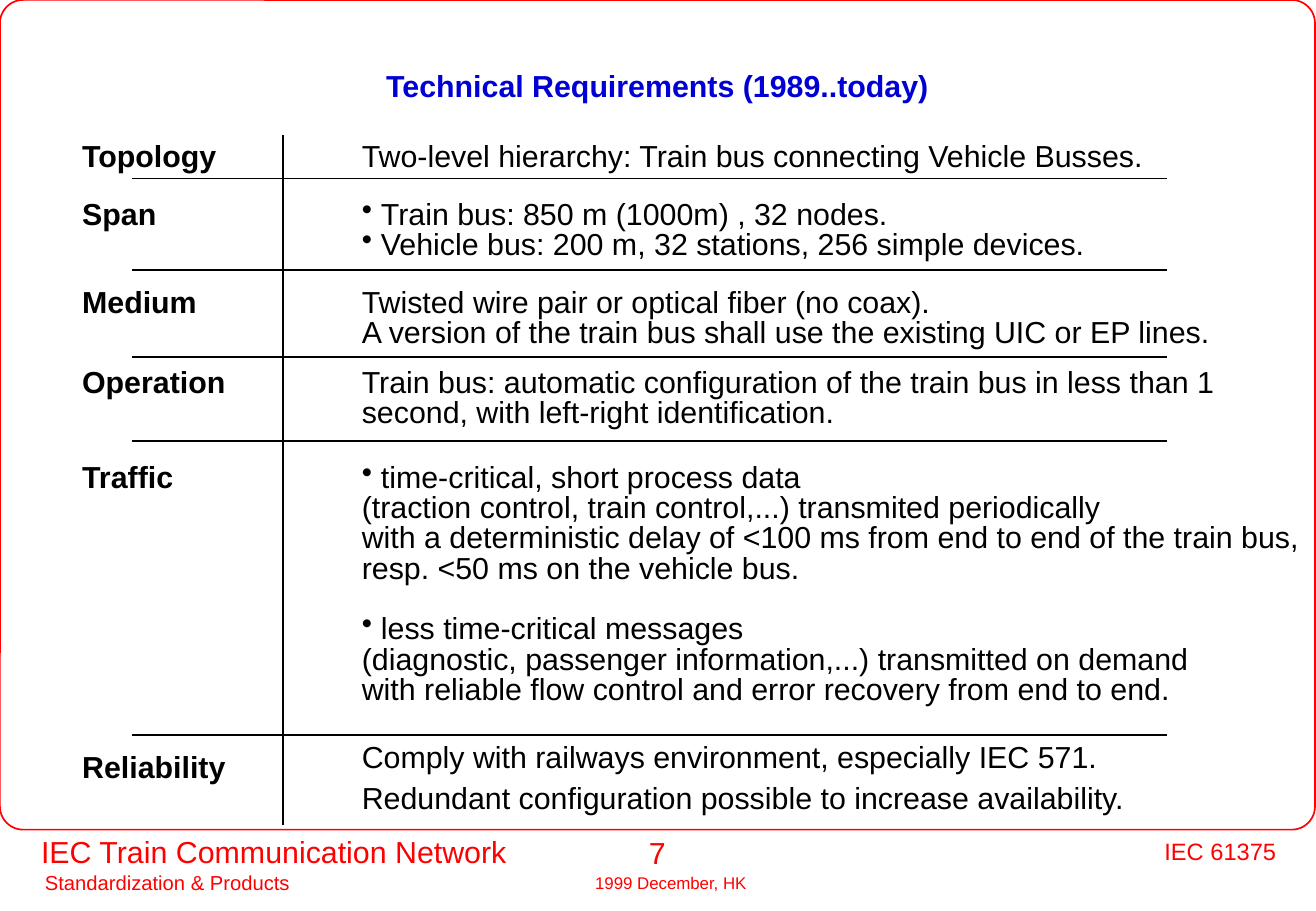
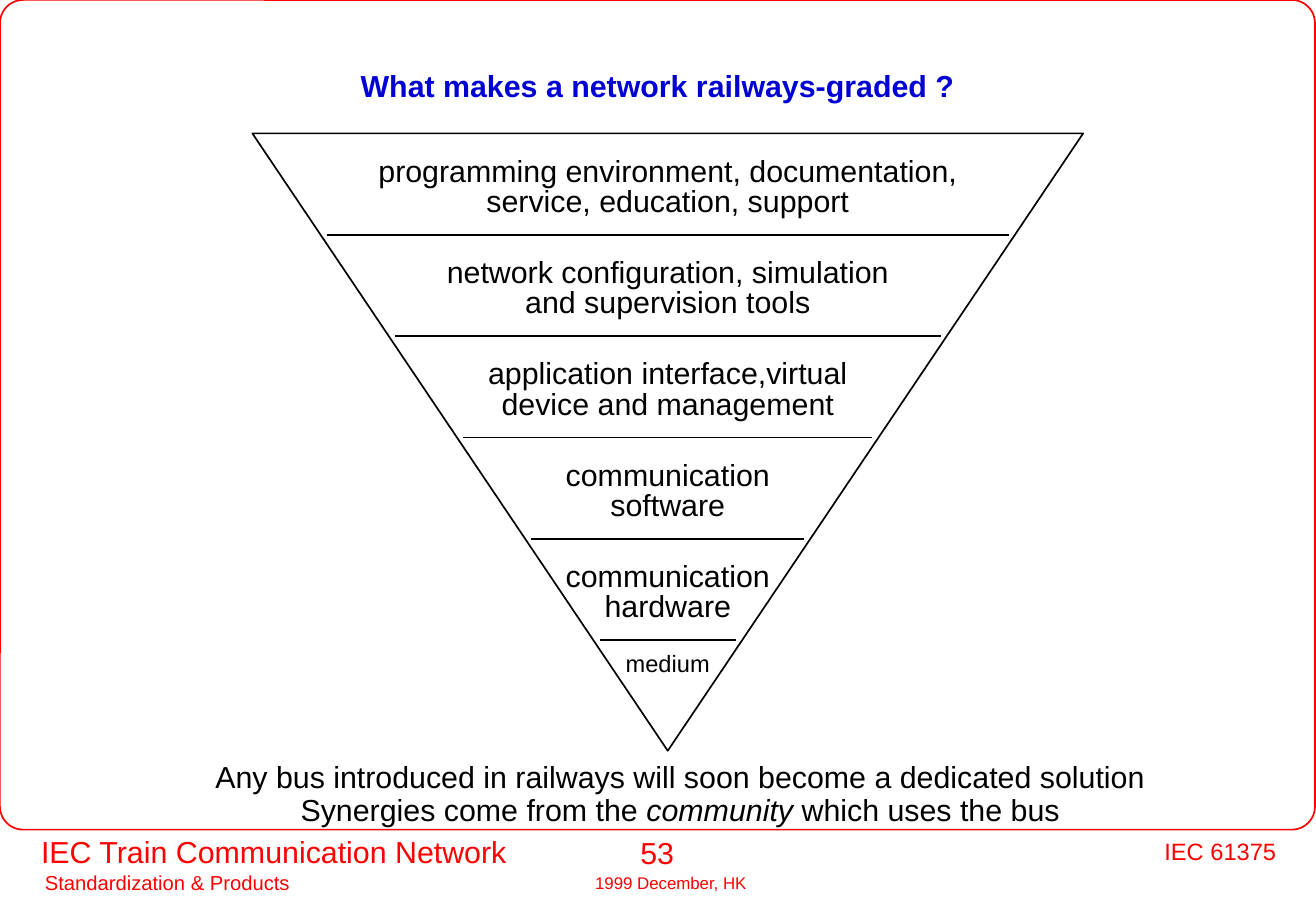
"""Build two slides on the requirements for a railway communication network."""
import dataclasses

import lxml.etree
import pptx
import pptx.dml.color
import pptx.enum.shapes
import pptx.enum.text
import pptx.oxml.ns
import pptx.util

Cm, Pt = pptx.util.Cm, pptx.util.Pt
RGB = pptx.dml.color.RGBColor
ALIGN = pptx.enum.text.PP_ALIGN
ANCHOR = pptx.enum.text.MSO_ANCHOR
SHAPES = pptx.enum.shapes.MSO_SHAPE
STRAIGHT = pptx.enum.shapes.MSO_CONNECTOR.STRAIGHT
qn = pptx.oxml.ns.qn


@dataclasses.dataclass(frozen=True)
class Theme:
    """Colours, font and sizes."""
    font: str = "Arial"
    ink: RGB = RGB(0, 0, 0)
    accent: RGB = RGB(0xFF, 0, 0)
    heading: RGB = RGB(0, 0, 0xD4)
    body: int = 18
    medium: int = 14
    small: int = 12
    tiny: int = 10
    rule: float = 1
    inset_x: float = 0.25
    inset_y: float = 0.13


@dataclasses.dataclass(frozen=True)
class Para:
    """A paragraph, its bullet, the space before it and its stressed word."""
    text: str
    bullet: bool = False
    gap: int = 0
    stress: str = ""


THEME = Theme()
SLIDE_W, SLIDE_H = 27.53, 19.05
BULLET_INDENT = 0.4

FOOTERS = [
    ("IEC Train Communication Network", THEME.body, 0.61, 17.3, 11, ALIGN.LEFT),
    ("Standardization & Products", THEME.small, 0.69, 18.06, 6.5, ALIGN.LEFT),
    ("1999 December, HK", THEME.tiny, 12.2, 18.11, 4.5, ALIGN.LEFT),
    ("IEC 61375", THEME.medium, 22.95, 17.37, 4, ALIGN.RIGHT),
]

REQUIREMENTS_TITLE = "Technical Requirements (1989..today)"
REQUIREMENTS = [
    ("Topology", 2.87, 2.87, [
        Para("Two-level hierarchy: Train bus connecting Vehicle Busses.")]),
    ("Span", 4.08, 4.08, [
        Para("Train bus: 850 m (1000m) , 32 nodes.", bullet=True),
        Para("Vehicle bus: 200 m, 32 stations, 256 simple devices.", bullet=True)]),
    ("Medium", 5.91, 5.91, [
        Para("Twisted wire pair or optical fiber (no coax)."),
        Para("A version of the train bus shall use the existing UIC or EP lines.")]),
    ("Operation", 7.59, 7.59, [
        Para("Train bus: automatic configuration of the train bus in less than 1\n"
             "second, with left-right identification.")]),
    ("Traffic", 9.57, 9.57, [
        Para("time-critical, short process data", bullet=True),
        Para("(traction control, train control,...) transmited periodically\n"
             "with a deterministic delay of <100 ms from end to end of the train bus,\n"
             "resp. <50 ms on the vehicle bus."),
        Para("less time-critical messages", bullet=True, gap=18),
        Para("(diagnostic, passenger information,...) transmitted on demand\n"
             "with reliable flow control and error recovery from end to end.")]),
    ("Reliability", 15.64, 15.44, [
        Para("Comply with railways environment, especially IEC 571."),
        Para("Redundant configuration possible to increase availability.", gap=6)]),
]
ROW_RULES = [3.73, 5.64, 7.47, 9.22, 15.37]

LAYERS_TITLE = "What makes a network railways-graded ?"
LAYERS = [
    "programming environment, documentation,\nservice, education, support",
    "network configuration, simulation\nand supervision tools",
    "application interface,virtual\ndevice and management",
    "communication\nsoftware",
    "communication\nhardware",
]
TIP = "medium"
CONCLUSION = [
    Para("Any bus introduced in railways will soon become a dedicated solution"),
    Para("Synergies come from the community which uses the bus", stress="community"),
]


def add_run(paragraph, text, size, color, bold=False, italic=False):
    run = paragraph.add_run()
    run.text = text
    font = run.font
    font.name, font.size = THEME.font, Pt(size)
    font.bold, font.italic = bold, italic
    font.color.rgb = color


def add_bullet(paragraph):
    properties = paragraph._p.get_or_add_pPr()
    properties.set("marL", str(Cm(BULLET_INDENT)))
    properties.set("indent", str(-Cm(BULLET_INDENT)))
    lxml.etree.SubElement(properties, qn("a:buChar")).set("char", "•")


def set_insets(frame):
    frame.word_wrap = True
    frame.margin_left, frame.margin_right = Cm(THEME.inset_x), 0
    frame.margin_top = frame.margin_bottom = Cm(THEME.inset_y)


def add_text(slide, paras, left, top, width, size=THEME.body, color=THEME.ink,
             align=ALIGN.LEFT, bold=False, leading=None):
    pitch = leading or size * 1.15
    height = sum(pitch * (1 + p.text.count("\n")) + p.gap for p in paras)
    box = slide.shapes.add_textbox(Cm(left), Cm(top), Cm(width),
                                   Pt(height) + Cm(2 * THEME.inset_y))
    frame = box.text_frame
    set_insets(frame)
    if align != ALIGN.LEFT:
        frame.margin_right = frame.margin_left
    for index, para in enumerate(paras):
        paragraph = frame.paragraphs[0] if index == 0 else frame.add_paragraph()
        if para.bullet:
            add_bullet(paragraph)
        paragraph.alignment = align
        paragraph.space_before = Pt(para.gap)
        if leading:
            paragraph.line_spacing = Pt(leading)
        for number, line in enumerate(para.text.split("\n")):
            if number:
                paragraph.add_line_break()
            pieces = line.partition(para.stress) if para.stress else (line,)
            for piece in filter(None, pieces):
                add_run(paragraph, piece, size, color, bold, piece == para.stress)


def add_rule(slide, x1, y1, x2, y2):
    rule = slide.shapes.add_connector(STRAIGHT, Cm(x1), Cm(y1), Cm(x2), Cm(y2))
    rule.line.color.rgb = THEME.ink
    rule.line.width = Pt(THEME.rule)
    lxml.etree.SubElement(rule._element.spPr, qn("a:effectLst"))


def add_outline(slide, preset, left, top, width, height, color):
    outline = slide.shapes.add_shape(preset, Cm(left), Cm(top), Cm(width), Cm(height))
    outline.shadow.inherit = False
    outline.fill.background()
    outline.line.color.rgb = color
    outline.line.width = Pt(THEME.rule)
    return outline


def add_slide(deck, title, number):
    slide = deck.slides.add_slide(deck.slide_layouts[5])
    frame = add_outline(slide, SHAPES.ROUNDED_RECTANGLE, 0, 0, 27.51, 17.35, THEME.accent)
    frame.adjustments[0] = 0.028
    page = (str(number), THEME.body, 12.9, 17.32, 1.7, ALIGN.CENTER)
    for text, size, left, top, width, align in FOOTERS + [page]:
        add_text(slide, [Para(text)], left, top, width, size, THEME.accent, align)
    heading = slide.shapes.title
    heading.left, heading.top = Cm(0.46), Cm(1.12)
    heading.width, heading.height = Cm(26.59), Cm(1.42)
    set_insets(heading.text_frame)
    heading.text_frame.margin_right = Cm(THEME.inset_x)
    heading.text_frame.vertical_anchor = ANCHOR.MIDDLE
    paragraph = heading.text_frame.paragraphs[0]
    paragraph.alignment = ALIGN.CENTER
    paragraph.line_spacing = 0.9
    add_run(paragraph, title, THEME.body, THEME.heading, bold=True)
    return slide


def build_requirements(deck):
    slide = add_slide(deck, REQUIREMENTS_TITLE, 7)
    for topic, topic_top, detail_top, details in REQUIREMENTS:
        add_text(slide, [Para(topic)], 1.47, topic_top, 4.3, bold=True, leading=THEME.body)
        add_text(slide, details, 7.32, detail_top, 20.19, leading=THEME.body)
    add_rule(slide, 5.92, 2.82, 5.92, 17.25)
    for y in ROW_RULES:
        add_rule(slide, 2.77, y, 24.41, y)


def build_layers(deck):
    slide = add_slide(deck, LAYERS_TITLE, 53)
    left, top, width, height = 5.28, 2.79, 17.38, 12.91
    pitch, text_drop, tip_drop, rule_gap = 2.12, 0.38, 0.14, 0.13
    center, text_width = left + width / 2, 16
    text_left = center - text_width / 2
    add_outline(slide, SHAPES.FLOWCHART_MERGE, left, top, width, height, THEME.ink)
    for index, layer in enumerate(LAYERS):
        layer_top = top + index * pitch
        add_text(slide, [Para(layer)], text_left, layer_top + text_drop, text_width,
                 align=ALIGN.CENTER, leading=THEME.body)
        base = layer_top + pitch
        half = width / 2 * (1 - (base - top) / height) - rule_gap
        add_rule(slide, center - half, base, center + half, base)
    add_text(slide, [Para(TIP)], text_left, base + tip_drop, text_width,
             size=THEME.medium, align=ALIGN.CENTER, leading=THEME.medium)
    add_text(slide, CONCLUSION, 3.23, 15.77, 22, align=ALIGN.CENTER, leading=20)


def main():
    deck = pptx.Presentation()
    deck.slide_width, deck.slide_height = Cm(SLIDE_W), Cm(SLIDE_H)
    build_requirements(deck)
    build_layers(deck)
    deck.save("out.pptx")


if __name__ == "__main__":
    main()
